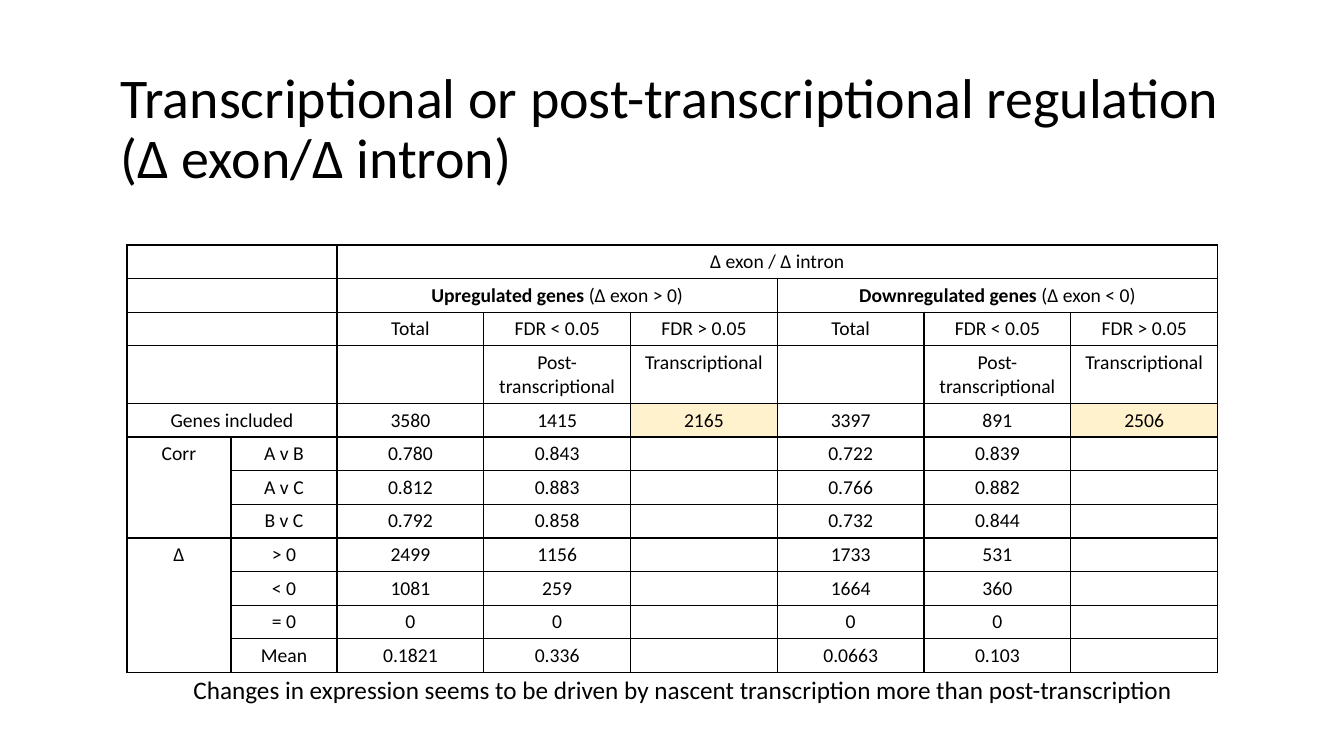
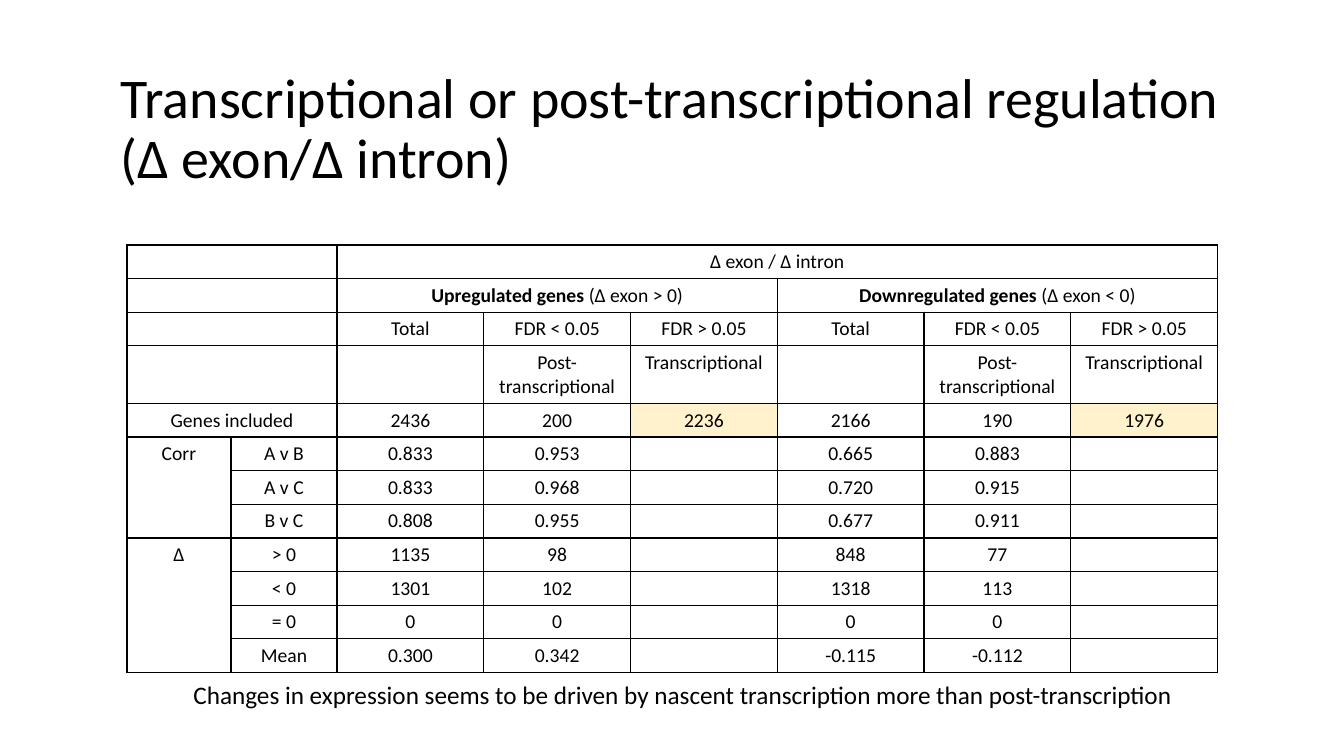
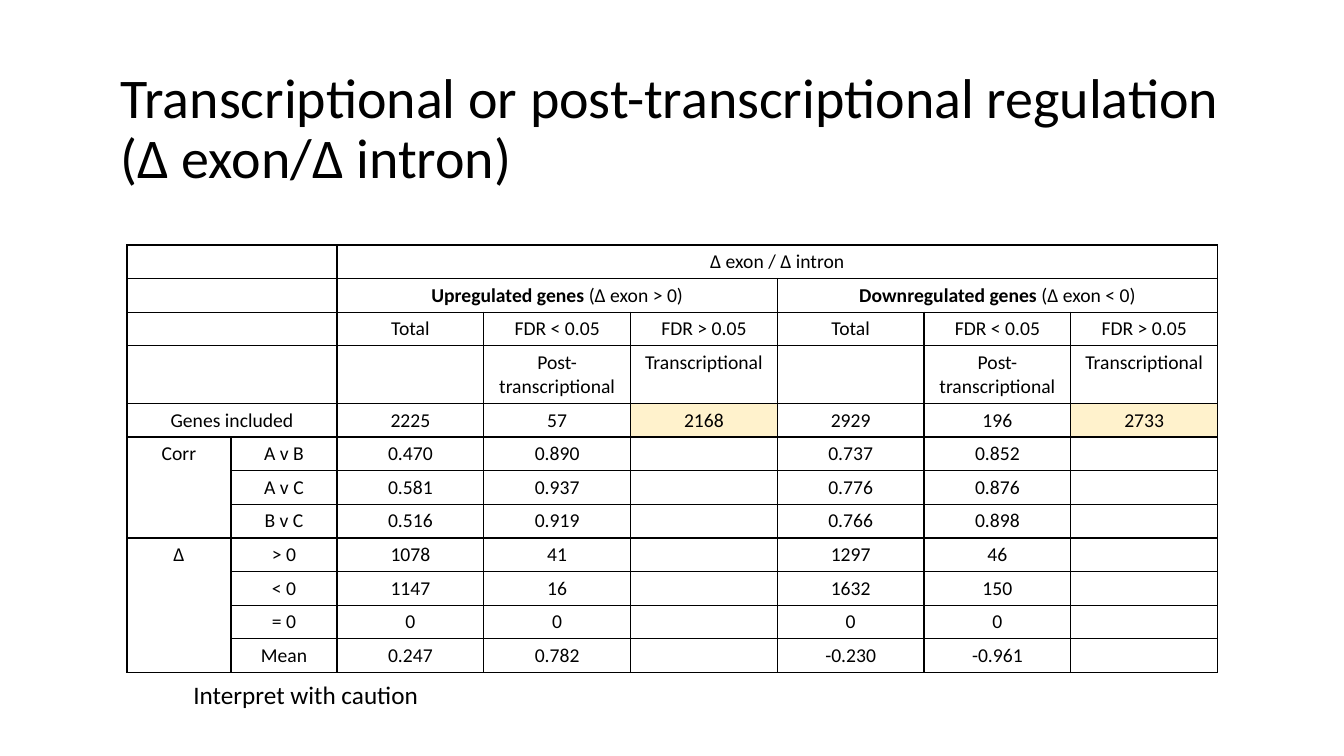
from dataclasses import dataclass
from itertools import product

from lxml.etree import SubElement
from pptx import Presentation
from pptx.dml.color import RGBColor
from pptx.enum.text import MSO_ANCHOR, MSO_AUTO_SIZE as AUTO, PP_ALIGN
from pptx.oxml.ns import qn
from pptx.util import Inches, Pt

BLACK = RGBColor(0x00, 0x00, 0x00)
HIGHLIGHT = RGBColor(0xFF, 0xF2, 0xCC)
FONT = "Calibri"
TITLE_SIZE, CAPTION_SIZE, CELL_SIZE = 40, 18, 14

SLIDE_W, SLIDE_H = Inches(13.33), Inches(7.5)
LABEL_COLS = [7.73, 7.9]
VALUE_COL = 10.92
ROW_H, TALL_ROW_H = 4.4, 7.6
ROWS, TALL_ROW, GENES_ROW = 12, 3, 4
HIGHLIGHT_CELLS = {(GENES_ROW, 4), (GENES_ROW, 7)}

TITLE = "Transcriptional or post-transcriptional regulation (Δ exon/Δ intron)"
DRIVEN = ("Changes in expression seems to be driven by nascent transcription "
          "more than post-transcription")
MEASURES = [("Corr", "A v B"), ("", "A v C"), ("", "B v C"),
            ("Δ", "> 0"), ("", "< 0"), ("", "= 0"), ("", "Mean")]
MERGES = [((r, 0), (r, 1)) for r in range(5)] + [
    ((0, 2), (0, 7)), ((1, 2), (1, 4)), ((1, 5), (1, 7)),
    ((5, 0), (7, 0)), ((8, 0), (11, 0))]


@dataclass(frozen=True)
class Box:
    left: float
    top: float
    width: float
    height: float

    def emu(self) -> tuple[int, int, int, int]:
        return (across(self.left), down(self.top),
                across(self.width), down(self.height))


@dataclass(frozen=True)
class Genes:
    included: tuple[str, str, str]
    total: tuple[str, ...]
    post: tuple[str, ...]


@dataclass(frozen=True)
class Page:
    up: Genes
    down: Genes
    caption: str
    caption_box: Box


TITLE_BOX = Box(8.25, 7.6, 86.05, 19.33)
TABLE_BOX = Box(9.45, 32.4, sum(LABEL_COLS) + 6 * VALUE_COL,
                (ROWS - 1) * ROW_H + TALL_ROW_H)

PAGES = [
    Page(Genes(("3580", "1415", "2165"),
               ("0.780", "0.812", "0.792", "2499", "1081", "0", "0.1821"),
               ("0.843", "0.883", "0.858", "1156", "259", "0", "0.336")),
         Genes(("3397", "891", "2506"),
               ("0.722", "0.766", "0.732", "1733", "1664", "0", "0.0663"),
               ("0.839", "0.882", "0.844", "531", "360", "0", "0.103")),
         DRIVEN, Box(13.65, 88.53, 75.24, 5.33)),
    Page(Genes(("2436", "200", "2236"),
               ("0.833", "0.833", "0.808", "1135", "1301", "0", "0.300"),
               ("0.953", "0.968", "0.955", "98", "102", "0", "0.342")),
         Genes(("2166", "190", "1976"),
               ("0.665", "0.720", "0.677", "848", "1318", "0", "-0.115"),
               ("0.883", "0.915", "0.911", "77", "113", "0", "-0.112")),
         DRIVEN, Box(13.65, 89.2, 75.24, 5.33)),
    Page(Genes(("2225", "57", "2168"),
               ("0.470", "0.581", "0.516", "1078", "1147", "0", "0.247"),
               ("0.890", "0.937", "0.919", "41", "16", "0", "0.782")),
         Genes(("2929", "196", "2733"),
               ("0.737", "0.776", "0.766", "1297", "1632", "0", "-0.230"),
               ("0.852", "0.876", "0.898", "46", "150", "0", "-0.961")),
         "Interpret with caution", Box(13.65, 89.2, 18.83, 5.33)),
]


def across(percent: float) -> int:
    return round(SLIDE_W * percent / 100)


def down(percent: float) -> int:
    return round(SLIDE_H * percent / 100)


def set_font(p, size: int) -> None:
    p.font.name = FONT
    p.font.size = Pt(size)
    p.font.color.rgb = BLACK


def add_text(s, box: Box, text: str, size: int):
    tf = s.shapes.add_textbox(*box.emu()).text_frame
    p = tf.paragraphs[0]
    p.text = text
    set_font(p, size)
    return tf


def table_rows(page: Page) -> list[list[str]]:
    groups = (page.up, page.down)
    rows = [
        ["", "", "Δ exon / Δ intron"] + [""] * 5,
        ["", "", "Upregulated genes| (Δ exon > 0)", "", "",
         "Downregulated genes| (Δ exon < 0)", "", ""],
        ["", ""] + ["Total", "FDR < 0.05", "FDR > 0.05"] * 2,
        ["", ""] + ["", "Post-transcriptional", "Transcriptional"] * 2,
        ["Genes included", "", *page.up.included, *page.down.included],
    ]
    for i, labels in enumerate(MEASURES):
        values = [v for g in groups for v in (g.total[i], g.post[i], "")]
        rows.append([*labels, *values])
    return rows


def add_borders(cell) -> None:
    tc_pr = cell._tc.get_or_add_tcPr()
    for side in ("a:lnL", "a:lnR", "a:lnT", "a:lnB"):
        ln = SubElement(tc_pr, qn(side), w=str(Pt(1)))
        fill = SubElement(ln, qn("a:solidFill"))
        SubElement(fill, qn("a:srgbClr"), val=str(BLACK))


def fill_cell(cell, text: str, highlighted: bool) -> None:
    add_borders(cell)
    if highlighted:
        cell.fill.solid()
        cell.fill.fore_color.rgb = HIGHLIGHT
    else:
        cell.fill.background()
    p = cell.text_frame.paragraphs[0]
    p.alignment = PP_ALIGN.CENTER
    set_font(p, CELL_SIZE)
    if not text:
        SubElement(p._p, qn("a:endParaRPr"), sz=str(CELL_SIZE * 100))
        return
    parts = text.split("|")
    for part in parts:
        r = p.add_run()
        r.text = part
        if len(parts) > 1:
            r.font.bold = part == parts[0]


def add_gene_table(s, page: Page) -> None:
    rows = table_rows(page)
    widths = LABEL_COLS + [VALUE_COL] * 6
    table = s.shapes.add_table(ROWS, len(widths), *TABLE_BOX.emu()).table
    table.first_row = table.horz_banding = False
    for col, width in zip(table.columns, widths):
        col.width = across(width)
    for i, row in enumerate(table.rows):
        row.height = down(TALL_ROW_H if i == TALL_ROW else ROW_H)
    for r, c in product(range(ROWS), range(len(widths))):
        fill_cell(table.cell(r, c), rows[r][c], (r, c) in HIGHLIGHT_CELLS)
    for first, last in MERGES:
        table.cell(*first).merge(table.cell(*last))


def add_page(prs, page: Page) -> None:
    s = prs.slides.add_slide(prs.slide_layouts[6])
    title = add_text(s, TITLE_BOX, TITLE, TITLE_SIZE)
    title.word_wrap = True
    title.vertical_anchor = MSO_ANCHOR.MIDDLE
    title.paragraphs[0].line_spacing = 0.9
    add_gene_table(s, page)
    caption = add_text(s, page.caption_box, page.caption, CAPTION_SIZE)
    caption.word_wrap = False
    caption.auto_size = AUTO.SHAPE_TO_FIT_TEXT


def main() -> None:
    prs = Presentation()
    prs.slide_width, prs.slide_height = SLIDE_W, SLIDE_H
    for page in PAGES:
        add_page(prs, page)
    prs.save("out.pptx")


if __name__ == "__main__":
    main()
